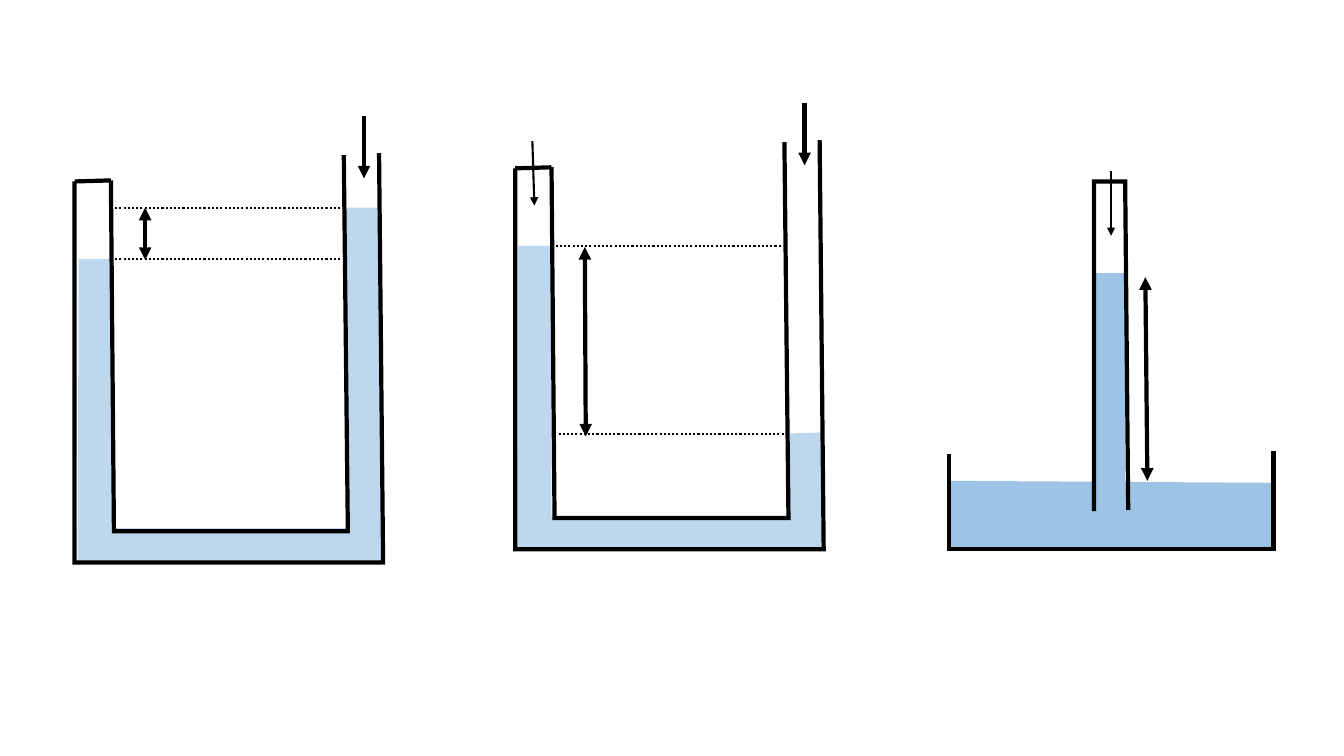
from lxml import etree
from pptx import Presentation
from pptx.dml.color import RGBColor
from pptx.enum.dml import MSO_LINE
from pptx.enum.shapes import MSO_CONNECTOR, MSO_SHAPE
from pptx.oxml.ns import qn
from pptx.util import Pt

PX = 9144  # EMU per px, 100 px to the inch
STRAIGHT = MSO_CONNECTOR.STRAIGHT
DOTTED = MSO_LINE.ROUND_DOT
RECTANGLE = MSO_SHAPE.RECTANGLE
THEME = {
    "ink": RGBColor.from_string("000000"),
    "tube_water": RGBColor.from_string("BDD7EE"),
    "basin_water": RGBColor.from_string("9DC3E6"),
    "thick": Pt(3),
    "thin": Pt(1.5),
}


def add_line(group, start, end, width="thick", dash=None, heads=()):
    """Draw a straight line; heads names the arrowhead ends, headEnd before tailEnd."""
    line = group.shapes.add_connector(STRAIGHT, *(v * PX for v in (*start, *end)))
    line.line.color.rgb = THEME["ink"]
    line.line.width = THEME[width]
    if dash:
        line.line.dash_style = dash
    properties = line._element.spPr
    outline = properties.find(qn("a:ln"))
    for head in heads:
        etree.SubElement(outline, qn(f"a:{head}"), type="triangle")
    etree.SubElement(properties, qn("a:effectLst"))


def add_outline(group, points, closed=False, fill=None, stroke=True):
    """Draw a freeform through the points, with optional fill and stroke."""
    builder = group.shapes.build_freeform(*points[0], scale=PX)
    builder.add_line_segments(points[1:], close=closed)
    shape = builder.convert_to_shape()
    shape.shadow.inherit = False
    if fill:
        shape.fill.solid()
        shape.fill.fore_color.rgb = THEME[fill]
    else:
        shape.fill.background()
    if stroke:
        shape.line.color.rgb = THEME["ink"]
        shape.line.width = THEME["thick"]
        outline = shape._element.spPr.find(qn("a:ln"))
        etree.SubElement(outline, qn("a:miter"), lim="800000")
    else:
        shape.line.fill.background()


ONE_WAY = ("tailEnd",)
TWO_WAY = ("headEnd", "tailEnd")

deck = Presentation()
deck.slide_width, deck.slide_height = 1333 * PX, 750 * PX
page = deck.slides.add_slide(deck.slide_layouts[6])

# U-tubes: the same glass at two places, with different water levels
OUTER_WALL = [(74, 180), (74, 558), (380, 558), (376, 152)]
INNER_WALL = [(110, 179), (113, 527), (345, 527), (341, 154)]
u_tubes = [
    {
        "offset": (0, 0),
        "water": [(78, 257), (77, 557), (379, 557), (378, 206), (343, 206),
                  (344, 524), (111, 524), (111, 257)],
        "levels": [(110, 257), (110, 206)],
        "height": [(144, 206), (144, 258)],
    },
    {
        "offset": (437, -13),
        "water": [(514, 244), (513, 545), (815, 544), (816, 429), (783, 430),
                  (780, 512), (547, 512), (547, 244)],
        "levels": [(547, 244), (554, 431)],
        "height": [(580, 245), (581, 433)],
    },
]
for tube in u_tubes:
    dx, dy = tube["offset"]
    group = page.shapes.add_group_shape()
    add_outline(group, tube["water"], closed=True, fill="tube_water", stroke=False)
    for wall in (OUTER_WALL, INNER_WALL):
        add_outline(group, [(x + dx, y + dy) for x, y in wall])
    add_line(group, (361 + dx, 115 + dy), (361 + dx, 177 + dy), heads=ONE_WAY)
    for x, y in tube["levels"]:
        add_line(group, (x, y), (x + 228, y), "thin", DOTTED)
    add_line(group, *tube["height"], heads=TWO_WAY)
    add_line(group, (74 + dx, 180 + dy), (110 + dx, 179 + dy))

# Gas pressure in the closed arm of the second U-tube
add_line(group, (528, 140), (530, 204), "thin", heads=ONE_WAY)

# Barometer standing in a basin
barometer = page.shapes.add_group_shape()
column = barometer.shapes.add_shape(RECTANGLE, *(v * PX for v in (1085, 271, 31, 224)))
column.shadow.inherit = False
column.fill.solid()
column.fill.fore_color.rgb = THEME["basin_water"]
column.line.fill.background()
add_outline(barometer, [(1263, 479), (1263, 545), (941, 545), (941, 477)],
            fill="basin_water")
add_outline(barometer, [(1085, 507), (1085, 180), (1116, 180), (1119, 506)])
add_line(barometer, (1136, 275), (1138, 477), heads=TWO_WAY)
add_line(barometer, (941, 545), (941, 450))
add_line(barometer, (1263, 542), (1263, 447))
add_line(barometer, (1102, 170), (1102, 234), "thin", heads=ONE_WAY)

deck.save("out.pptx")
